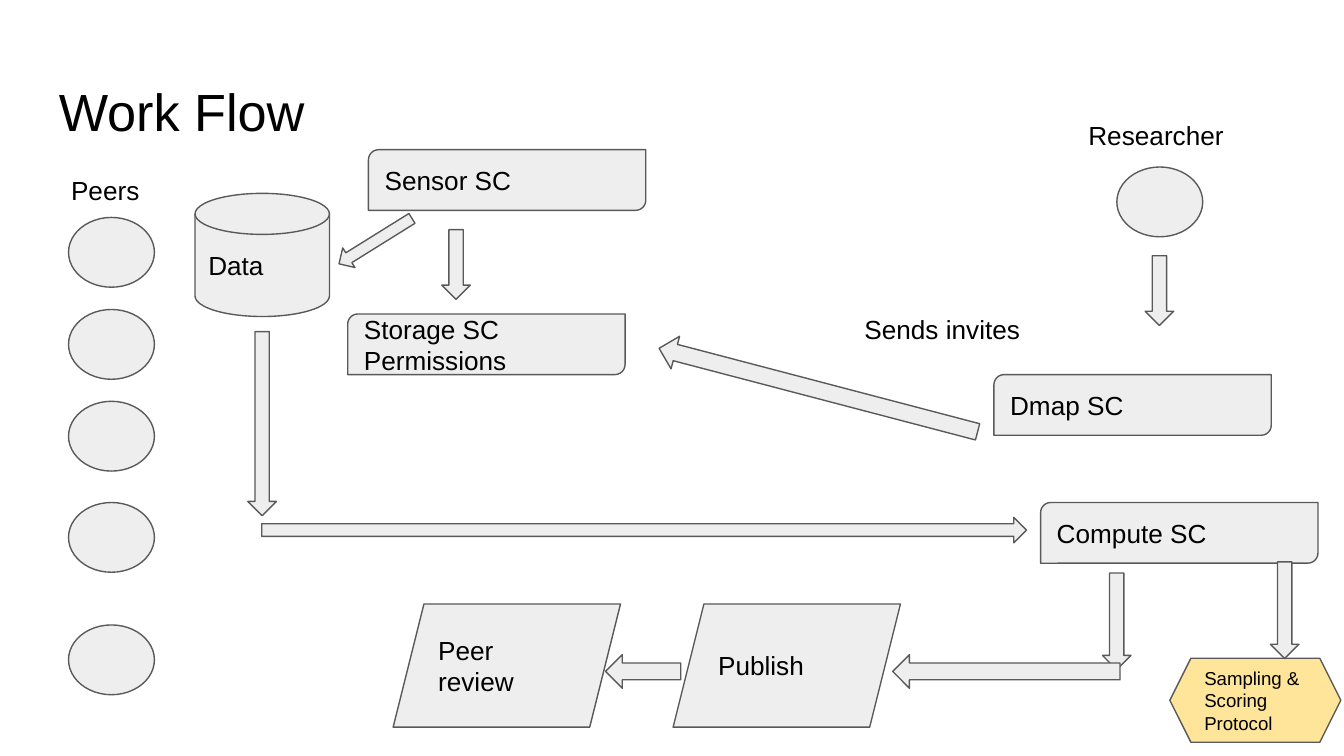
"""Build the Work Flow slide with its contracts, data store, peers and arrows."""
from pptx import Presentation
from pptx.dml.color import RGBColor
from pptx.enum.shapes import MSO_SHAPE as Shape
from pptx.enum.text import MSO_ANCHOR as Anchor, PP_ALIGN as Align
from pptx.util import Pt

BLACK = RGBColor(0x00, 0x00, 0x00)
GREY = RGBColor(0xEE, 0xEE, 0xEE)
OUTLINE = RGBColor(0x59, 0x59, 0x59)
YELLOW = RGBColor(0xFF, 0xE5, 0x99)

deck = Presentation()
deck.slide_width, deck.slide_height = Pt(720), Pt(405)
page = deck.slides.add_slide(deck.slide_layouts[6])


def write(box, lines, size, anchor):
    frame = box.text_frame
    frame.word_wrap = True
    frame.vertical_anchor = anchor
    frame.margin_left = frame.margin_right = Pt(7.2)
    frame.margin_top = frame.margin_bottom = Pt(7.2)
    frame.text = lines
    for para in frame.paragraphs:
        para.alignment = Align.LEFT
        para.font.name = "Arial"
        para.font.size = Pt(size)
        para.font.color.rgb = BLACK


def draw(kind, left, top, width, height, fill=GREY):
    shape = page.shapes.add_shape(kind, Pt(left), Pt(top), Pt(width), Pt(height))
    shape.shadow.inherit = False
    shape.fill.solid()
    shape.fill.fore_color.rgb = fill
    shape.line.color.rgb = OUTLINE
    shape.line.width = Pt(0.75)
    return shape


labels = [
    ("Work Flow", 24.5, 35.3, 177, 45, 28),
    ("Researcher", 576, 57, 105, 32.4, 14),
    ("Peers", 31, 86, 61, 32.4, 14),
    ("Sends invites", 456, 160.5, 105, 32.4, 14),
]
for text, left, top, width, height, size in labels:
    box = page.shapes.add_textbox(Pt(left), Pt(top), Pt(width), Pt(height))
    write(box, text, size, Anchor.TOP)

people = [(36.7, top) for top in (116.5, 165.8, 215, 269.2, 334.8)] + [(598.3, 89.5)]
for left, top in people:
    draw(Shape.OVAL, left, top, 46, 37.4)

contracts = [
    ("Sensor SC", 197.4, 80.2),
    ("Storage SC\nPermissions", 186.3, 168.2),
    ("Compute SC", 557.5, 269.2),
    ("Dmap SC", 532.5, 200.7),
]
for text, left, top in contracts:
    contract = draw(Shape.ROUND_2_DIAG_RECTANGLE, left, top, 148.6, 32.5)
    write(contract, text, 14, Anchor.MIDDLE)

write(draw(Shape.FLOWCHART_MAGNETIC_DISK, 104.5, 103.6, 72, 66), "Data", 14, Anchor.MIDDLE)

protocol = draw(Shape.HEXAGON, 626.7, 352.7, 91.6, 45, YELLOW)
write(protocol, "Sampling & Scoring Protocol", 10, Anchor.MIDDLE)

for text, left in (("Publish", 360.6), ("Peer review", 210.6)):
    write(draw(Shape.PARALLELOGRAM, left, 323.6, 121.8, 66), text, 14, Anchor.MIDDLE)

arrows = [
    (Shape.LEFT_ARROW, 178.2, 123, 46, 12.4, 328.1),
    (Shape.DOWN_ARROW, 236.7, 123, 15.3, 37.4, 0),
    (Shape.DOWN_ARROW, 613.5, 137, 15.3, 37.4, 0),
    (Shape.LEFT_ARROW, 350.2, 200, 176.4, 18, 14.7),
    (Shape.DOWN_ARROW, 132.8, 177.7, 15.3, 98.6, 0),
    (Shape.RIGHT_ARROW, 140.2, 277.2, 409.7, 13.6, 0),
    (Shape.DOWN_ARROW, 590.6, 307, 15.3, 51.8, 0),
    (Shape.LEFT_ARROW, 478.2, 350.7, 121.8, 18, 0),
    (Shape.DOWN_ARROW, 680.6, 301, 15.3, 51.8, 0),
    (Shape.LEFT_ARROW, 324.4, 350.7, 40.3, 18, 0),
]
for kind, left, top, width, height, rotation in arrows:
    draw(kind, left, top, width, height).rotation = rotation

deck.save("out.pptx")
